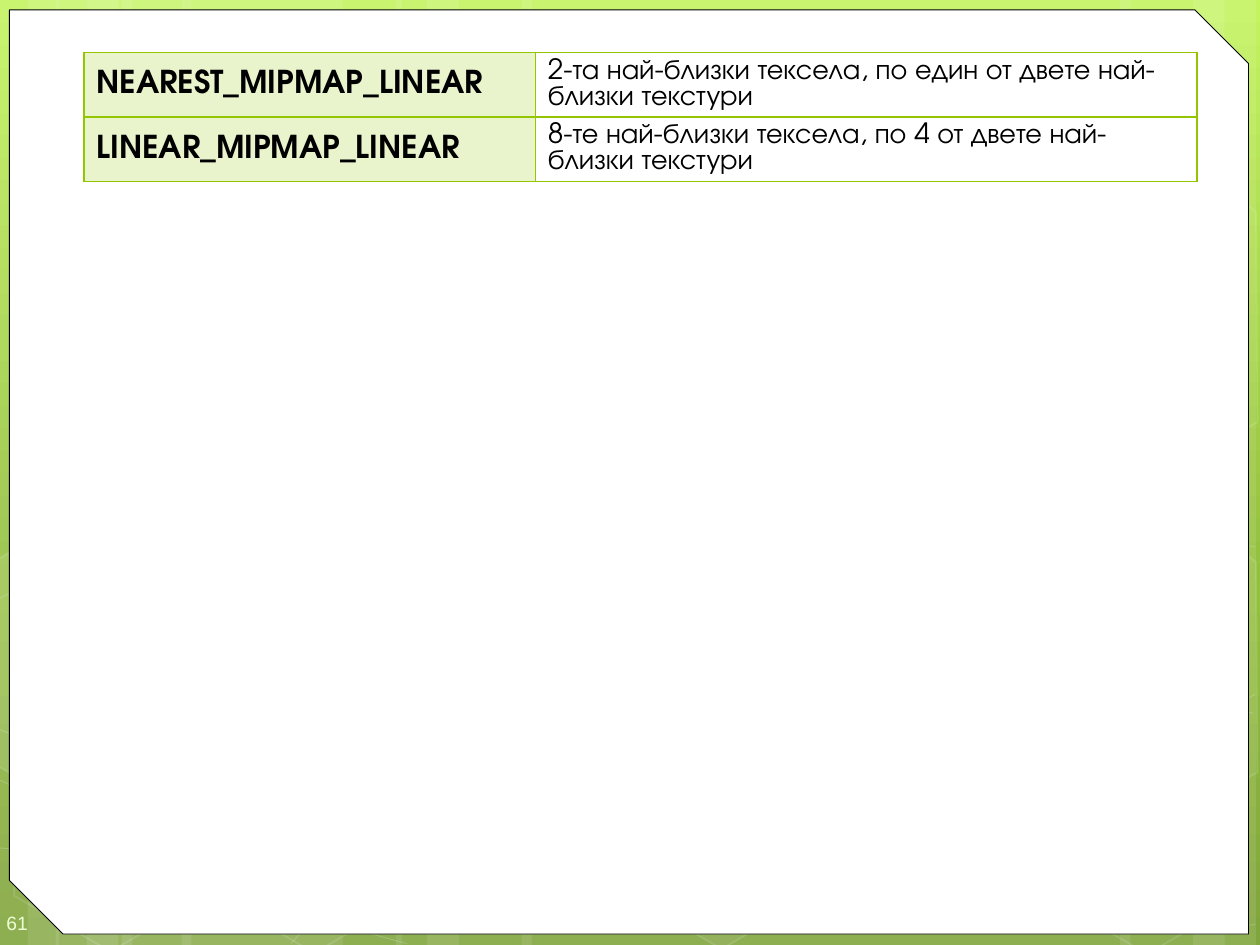
from copy import deepcopy
from lxml.etree import SubElement
from pptx import Presentation
from pptx.dml.color import RGBColor
from pptx.enum.shapes import MSO_SHAPE
from pptx.enum.text import MSO_ANCHOR
from pptx.oxml.ns import qn
from pptx.util import Cm, Pt

FONT = "TeX Gyre Adventor"
GREEN = "94C600"
ROWS = [
    ("NEAREST_MIPMAP_LINEAR", "2-та най-близки тексела, по един от двете най-близки текстури"),
    ("LINEAR_MIPMAP_LINEAR", "8-те най-близки тексела, по 4 от двете най-близки текстури"),
]
STRIPES = [
    (2.46, 4.45), (-0.08, 1.27), (0.56, 2.11), (3.66, 4.45), (1.12, 1.27), (1.75, 2.11),
    (18.34, 4.45), (24.05, 1.27), (22.58, 2.11), (10.52, 7.82), (7.98, 1.27), (8.61, 2.11),
]
CURVES = [
    [(-0.1, 17.09), (1.27, 17.17), (2.64, 17.25), (4.55, 17.22), (6.45, 17.2), (8.79, 17.15),
     (11.35, 16.89), (13.89, 16.64), (17.5, 16.15), (19.81, 15.67), (22.15, 15.19),
     (24.54, 14.43), (25.3, 14)],
    [(-0.1, 12.12), (0.64, 11.71), (1.37, 11.33), (2.79, 10.95), (4.24, 10.57), (6.27, 10.01),
     (8.53, 9.83), (10.8, 9.65), (13.54, 9.63), (16.33, 9.83), (19.13, 10.03),
     (23.77, 10.82), (25.3, 11.02)],
    [(-0.13, 15.67), (2.92, 17.07), (5.99, 18.47), (8.2, 19.02)],
    [(-0.1, 14.68), (0.69, 14.96), (1.5, 15.24), (2.97, 15.65), (4.45, 16.03), (6.65, 16.66),
     (8.76, 17.09), (10.9, 17.53), (13.56, 17.98), (15.67, 18.24), (17.75, 18.52),
     (20.04, 18.62), (21.36, 18.69), (22.71, 18.8), (23.06, 18.75), (23.72, 18.75),
     (24.36, 18.72), (24.84, 18.67), (25.3, 18.64)],
    [(5.87, 19.02), (6.32, 18.52), (6.78, 18.01), (7.39, 17.55), (8, 17.09), (8.86, 16.59),
     (9.55, 16.23), (10.26, 15.88), (10.72, 15.72), (11.63, 15.47), (12.57, 15.21),
     (14.27, 14.86), (15.16, 14.68), (16.05, 14.5), (16.21, 14.5), (16.99, 14.45),
     (17.78, 14.38), (19.02, 14.3), (19.89, 14.27), (20.75, 14.25), (22.23, 14.27),
     (22.23, 14.27), (22.7, 14.27), (23.3, 14.27), (23.9, 14.27), (24.38, 14.3),
     (24.82, 14.33), (25.04, 14.35), (25.25, 14.38), (25.17, 14.35), (25.27, 14.38)],
]
HEXES = [
    (8.26, 7.95, 10, 12), (10.26, 11.46, 0, 12), (10.29, 4.42, 7, 8), (8.2, 0.91, 4, 8),
    (12.32, 14.96, 6, 12), (0, 15.01, 0, 12), (0.08, 7.92, 7, 8), (2.08, 11.46, 0, 12),
    (4.11, 15.04, 0, 12), (4.19, 7.95, 7, 8), (2.13, 4.34, 0, 12), (18.85, 11.51, 10, 12),
    (20.9, 15.06, 0, 12), (20.9, 7.98, 7, 8),
]
LEFT = [(-0.08, 11.3), (0.2, 11.13), (2.16, 12.24), (2.13, 14.48), (0.23, 15.6), (-0.08, 15.42)]
RIGHT = [(23.24, 12.32), (25.15, 11.2), (25.32, 11.33), (25.35, 15.57), (25.17, 15.67),
         (23.22, 14.55)]


def tint(text):
    """Return the colour of a hex string."""
    return RGBColor.from_string(text)


def fade(node, share):
    """Make the colours within a node opaque by a share in percent."""
    for color in node.iter(qn("a:srgbClr")):
        SubElement(color, qn("a:alpha"), val=str(share * 1000))


def paint(shape, fill=0, line=0, width=1):
    """Give a shape a white fill and line of given opacities; zero means none."""
    shape.shadow.inherit = False
    props = shape.element.spPr
    if fill:
        shape.fill.solid()
        shape.fill.fore_color.rgb = tint("FFFFFF")
        fade(props.find(qn("a:solidFill")), fill)
    else:
        shape.fill.background()
    if line:
        shape.line.color.rgb = tint("FFFFFF")
        shape.line.width = Pt(width)
        fade(props.find(qn("a:ln")), line)
    else:
        shape.line.fill.background()


def trace(slide, x, y, points, close):
    """Draw an outline through points given in centimetres from x, y."""
    spots = [(x + Cm(a), y + Cm(b)) for a, b in points]
    build = slide.shapes.build_freeform(*spots[0])
    build.add_line_segments(spots[1:], close=close)
    return build.convert_to_shape()


def bend(shape):
    """Turn each three line steps of an outline into one cubic curve."""
    trail = next(shape.element.iter(qn("a:path")))
    steps = trail.findall(qn("a:lnTo"))
    for i in range(0, len(steps), 3):
        curve = SubElement(trail, qn("a:cubicBezTo"))
        for step in steps[i:i + 3]:
            curve.append(step[0])
            trail.remove(step)
    return shape


def shade(layout):
    """Fill the background with a vertical green gradient."""
    fill = layout.background.fill
    fill.gradient()
    fill.gradient_angle = 270
    first = next(layout.element.iter(qn("a:gs")))
    first.addnext(deepcopy(first))
    for stop, (place, color) in zip(
            fill.gradient_stops, [(0, "C3F35F"), (0.62, "93BF3F"), (1, "81A53E")]):
        stop.position = place
        stop.color.rgb = tint(color)


def decor(slide, x, y, height):
    """Draw the stripes, curves and hexagons of the backdrop."""
    add = slide.shapes.add_shape
    for left, width in STRIPES:
        paint(add(MSO_SHAPE.RECTANGLE, x + Cm(left), y, Cm(width), height), 10)
    for nodes in CURVES:
        paint(bend(trace(slide, x, y, nodes, False)), 0, 20, 0.5)
    for left, top, fill, line in HEXES:
        cell = add(MSO_SHAPE.HEXAGON, x + Cm(left), y + Cm(top), Cm(4.45), Cm(3.87))
        cell.adjustments[0] = 0.285
        cell.adjustments[1] = 1.155
        cell.rotation = 30
        paint(cell, fill, line)
    for points, rise, fill in [(LEFT, 0, 10), (RIGHT, 0, 4), (RIGHT, 7.06, 0)]:
        paint(trace(slide, x, y - Cm(rise), points, True), fill, 12)


def panel(slide, x, y, width, height):
    """Draw the white sheet with two cut corners."""
    sheet = slide.shapes.add_shape(MSO_SHAPE.SNIP_2_DIAG_RECTANGLE, x, y, width, height)
    sheet.adjustments[0] = 0
    sheet.adjustments[1] = 0.058
    paint(sheet, 100)
    sheet.line.color.rgb = tint("000000")
    sheet.line.width = Pt(0.5)


def number(slide, x, y, width, height):
    """Write the slide number."""
    frame = slide.shapes.add_textbox(x, y, width, height).text_frame
    frame.word_wrap = True
    frame.vertical_anchor = MSO_ANCHOR.MIDDLE
    frame.margin_left, frame.margin_top = Cm(0.13), Cm(0.38)
    frame.margin_right, frame.margin_bottom = Cm(0), Cm(0.25)
    para = frame.paragraphs[0]
    para.text = "61"
    para.font.name = "Arial"
    para.font.size = Pt(11)
    para.font.color.rgb = tint("EEFFD6")


def settle(slide, layout):
    """Move the shapes drawn so far from the slide to its layout."""
    for shape in list(slide.shapes):
        layout.shapes.element.append(shape.element)


def edge(cell):
    """Draw green borders on the four sides of a cell."""
    props = cell._tc.get_or_add_tcPr()
    for side in "LRTB":
        line = SubElement(props, qn("a:ln" + side), w=str(Pt(1)))
        SubElement(SubElement(line, qn("a:solidFill")), qn("a:srgbClr"), val=GREEN)


def grid(slide, x, y, width, height):
    """Place the table of filter names and their meanings."""
    table = slide.shapes.add_table(len(ROWS), 2, x, y, width, height).table
    table.first_row = table.horz_banding = False
    table.columns[0].width = Cm(9.1)
    table.columns[1].width = width - Cm(9.1)
    for r, texts in enumerate(ROWS):
        for c, text in enumerate(texts):
            cell = table.cell(r, c)
            cell.vertical_anchor = MSO_ANCHOR.MIDDLE
            edge(cell)
            para = cell.text_frame.paragraphs[0]
            para.text = text
            para.font.name = FONT
            para.font.size = Pt(16 if c else 18)
            para.font.bold = c == 0
            para.font.color.rgb = tint("000000")
            if c:
                para.line_spacing = Pt(14.8)
                cell.fill.background()
            else:
                cell.fill.solid()
                cell.fill.fore_color.rgb = tint(GREEN)
                fade(cell._tc.tcPr.find(qn("a:solidFill")), 20)


def main():
    """Build the slide and save it."""
    deck = Presentation()
    deck.slide_width, deck.slide_height = Cm(25.4), Cm(19.05)
    layout = deck.slide_layouts[6]
    slide = deck.slides.add_slide(layout)
    shade(layout)
    decor(slide, Cm(0), Cm(0), deck.slide_height)
    panel(slide, Cm(0.19), Cm(0.2), Cm(24.98), Cm(18.63))
    number(slide, Cm(0), Cm(18.03), Cm(1.47), Cm(1.02))
    settle(slide, layout)
    grid(slide, Cm(1.69), Cm(1.06), Cm(22.44), Cm(2.6))
    deck.save("out.pptx")


if __name__ == "__main__":
    main()
